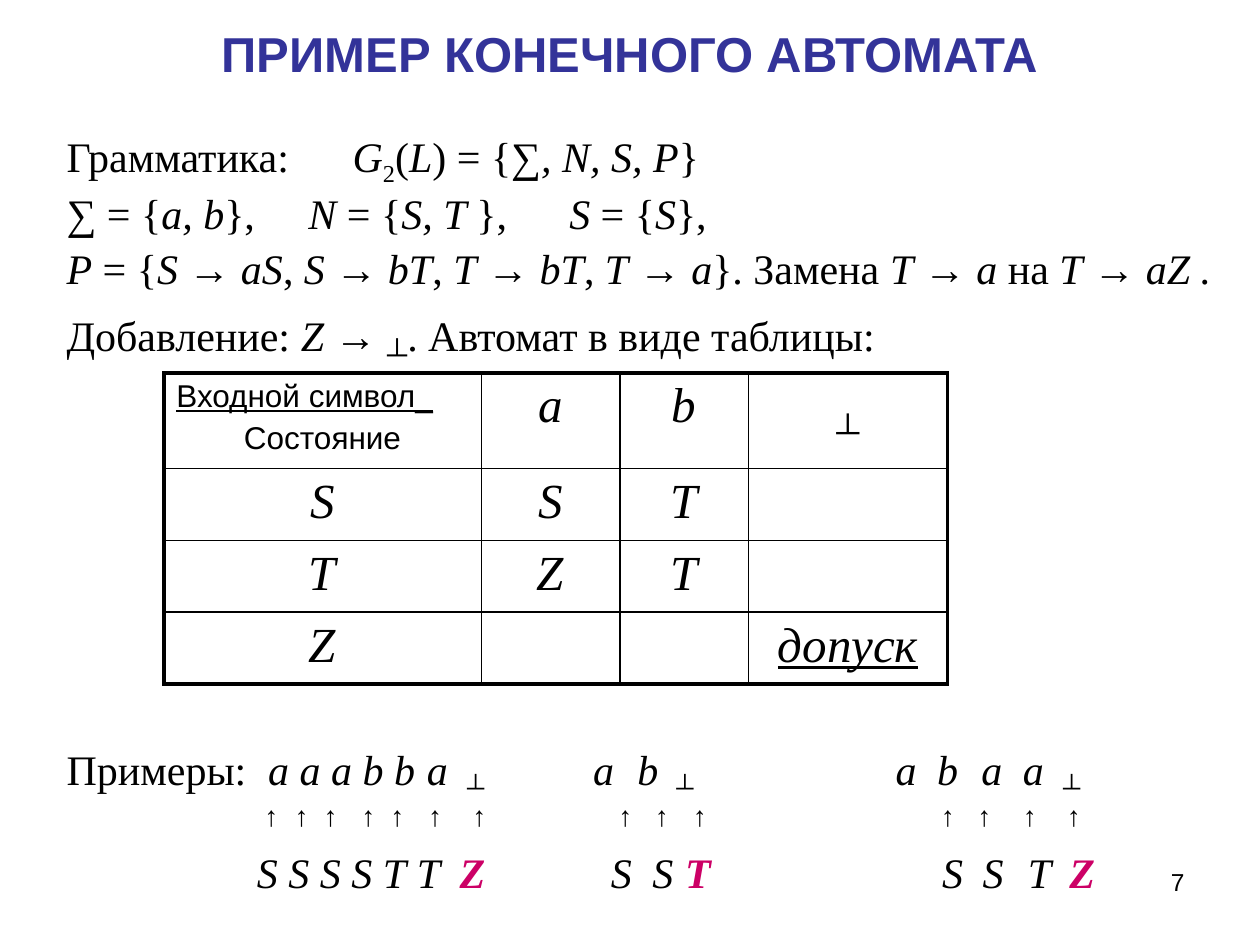
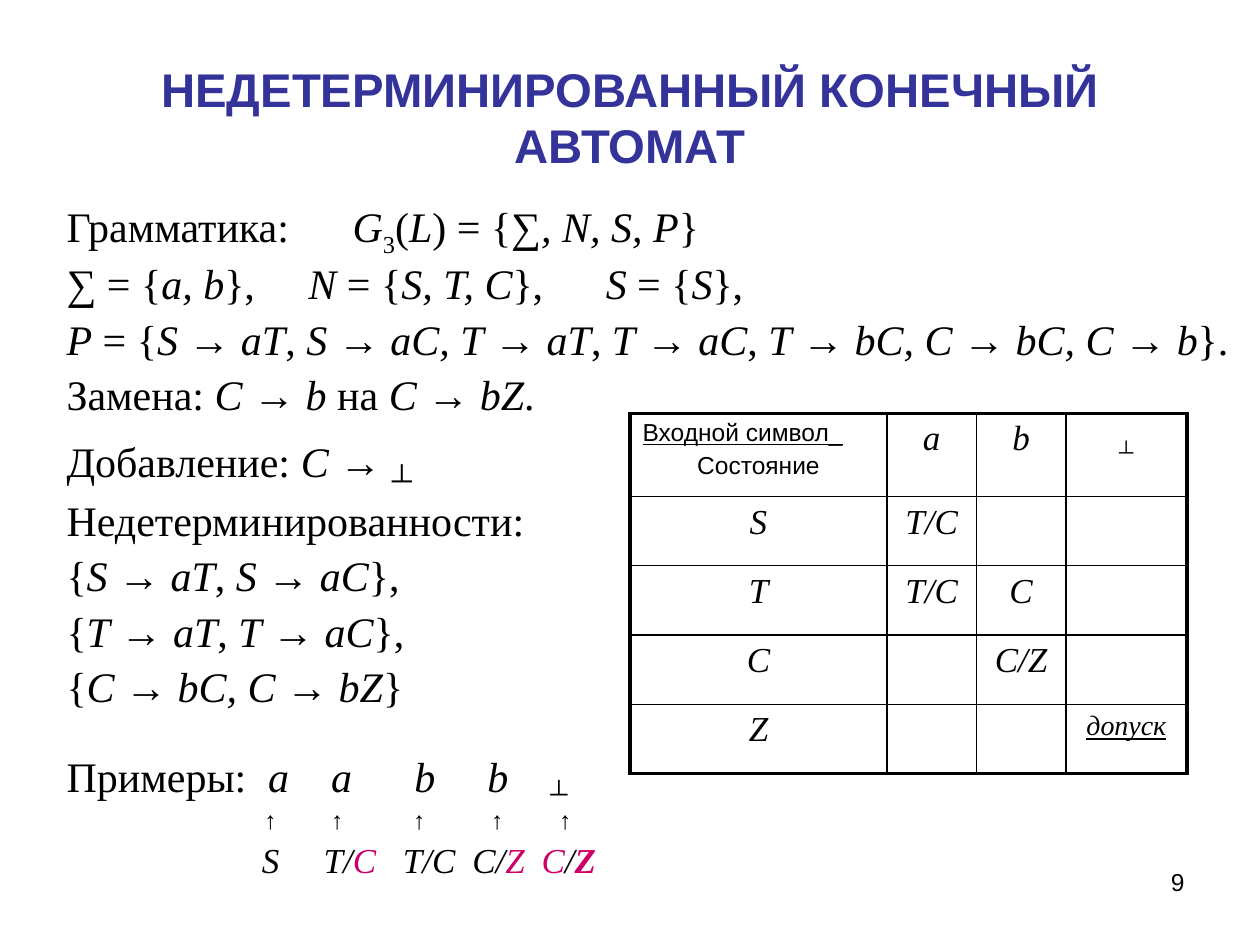
from itertools import groupby

from lxml.etree import SubElement
from pptx import Presentation
from pptx.dml.color import RGBColor
from pptx.enum.text import MSO_ANCHOR, MSO_AUTO_SIZE, PP_ALIGN
from pptx.oxml.ns import qn
from pptx.util import Inches, Pt

# Shared style
BLACK, TITLE_BLUE, ACCENT = "000000", "333399", "CC0066"
SANS, SERIF = "Arial", "Times New Roman"
TEXT_LEFT, TEXT_SIZE = 0.43, 24
CELL_MARGIN = 0.1
THIN, THICK = 1, 2.25

# Markup switches: italic, subscript, accent colour, bold, underline, large
ITALIC, SUBSCRIPT, COLOURED, BOLD, UNDERLINE, LARGE = MARKS = "*~#^_%"
LARGE_SIZE = 28


def colour(hex_string):
    return RGBColor.from_string(hex_string)


def split_markup(markup):
    """Yield pieces of text with the switches active on each."""
    active, pieces = frozenset(), []
    for character in markup:
        if character in MARKS:
            active = active ^ {character}
        else:
            pieces.append((character, active))
    for marks, group in groupby(pieces, key=lambda piece: piece[1]):
        yield "".join(character for character, _ in group), marks


def style_font(font, size, name, hex_string=BLACK, bold=False):
    font.size, font.name, font.bold = Pt(size), name, bold
    font.color.rgb = colour(hex_string)


def add_runs(paragraph, markup, size, font_name):
    for text, marks in split_markup(markup):
        run = paragraph.add_run()
        run.text = text
        style_font(run.font, LARGE_SIZE if LARGE in marks else size, font_name,
                   ACCENT if COLOURED in marks else BLACK, BOLD in marks)
        run.font.italic = ITALIC in marks
        run.font.underline = UNDERLINE in marks
        if SUBSCRIPT in marks:
            run.font._element.set("baseline", "-25000")


def set_tabs(paragraph, stops):
    tab_list = SubElement(paragraph._p.get_or_add_pPr(), qn("a:tabLst"))
    for stop in stops:
        SubElement(tab_list, qn("a:tab"), pos=str(Inches(stop)), algn="l")


def add_title(slide, text, size, top, height):
    title = slide.shapes.title
    title.left, title.top = Inches(0.5), Inches(top)
    title.width, title.height = Inches(9), Inches(height)
    frame = title.text_frame
    frame.text = text
    frame.word_wrap, frame.auto_size = True, MSO_AUTO_SIZE.NONE
    frame.vertical_anchor = MSO_ANCHOR.MIDDLE
    frame.paragraphs[0].alignment = PP_ALIGN.CENTER
    style_font(frame.paragraphs[0].runs[0].font, size, SANS, TITLE_BLUE, True)


def add_text_box(slide, left, top, width, height):
    box = slide.shapes.add_textbox(Inches(left), Inches(top), Inches(width), Inches(height))
    box.text_frame.word_wrap = True
    return box.text_frame


def add_lines(slide, top, height, lines):
    """Each line is markup, tab stops, size, font and space before."""
    frame = add_text_box(slide, TEXT_LEFT, top, 9.5, height)
    for index, (markup, stops, size, font_name, space) in enumerate(lines):
        paragraph = frame.add_paragraph() if index else frame.paragraphs[0]
        if stops:
            set_tabs(paragraph, stops)
        paragraph.line_spacing = 0.9
        paragraph.space_before = Pt(space if index else 0)
        add_runs(paragraph, markup, size, font_name)


def add_grammar(slide, top, height, lines):
    add_lines(slide, top, height,
              [(markup, stops, TEXT_SIZE, SERIF, 5.8) for markup, stops in lines])


def add_examples(slide, top, symbols, states, stops, sizes, spaces):
    """Input symbols, an arrow under each step, and the states reached."""
    state_list = states.split()
    rows = [("Примеры:", symbols.split(), SERIF),
            ("", ["↑"] * len(state_list), SANS),
            ("", state_list, SERIF)]
    add_lines(slide, top, 1.4, [
        ("\t".join([label, *tokens]), row_stops, size, font_name, space)
        for (label, tokens, font_name), row_stops, size, space
        in zip(rows, stops, sizes, spaces)])


def set_borders(cell, row, column, last_row, last_column):
    properties = cell._tc.get_or_add_tcPr()
    outer = {"L": column == 0, "R": column == last_column,
             "T": row == 0, "B": row == last_row}
    for side, is_outer in outer.items():
        width = Pt(THICK if is_outer else THIN)
        line = SubElement(properties, qn(f"a:ln{side}"), w=str(width))
        fill = SubElement(line, qn("a:solidFill"))
        SubElement(fill, qn("a:srgbClr"), val=BLACK)
    cell.fill.background()


def fill_corner(cell, size, column_width):
    """Heading of the inputs, underlined across the cell, above the states."""
    heading = cell.text_frame.paragraphs[0]
    set_tabs(heading, [column_width - 2 * CELL_MARGIN - 0.02])
    add_runs(heading, "Входной символ", size, SANS)
    for run in heading.runs:
        run.text += "_\t"
        run.font.underline = True
    states = cell.text_frame.add_paragraph()
    states.alignment = PP_ALIGN.CENTER
    states.space_before = Pt(0.2 * size)
    add_runs(states, "Состояние", size, SANS)


def add_transition_table(slide, left, top, widths, heights, rows, sizes):
    """Sizes are for the corner, the cells, the end mark and the accept word."""
    corner_size, cell_size, end_size, accept_size = sizes
    special_sizes = {"~┴~": end_size, "_допуск_": accept_size}
    frame = slide.shapes.add_table(len(heights), len(widths), Inches(left), Inches(top),
                                   Inches(sum(widths)), Inches(sum(heights)))
    table = frame.table
    table.first_row = table.horz_banding = False
    for column, width in zip(table.columns, widths):
        column.width = Inches(width)
    for row, height in zip(table.rows, heights):
        row.height = Inches(height)
    for row_index, row in enumerate(rows):
        for column_index, markup in enumerate(row):
            cell = table.cell(row_index, column_index)
            set_borders(cell, row_index, column_index, len(heights) - 1, len(widths) - 1)
            if row_index == column_index == 0:
                fill_corner(cell, corner_size, widths[0])
            elif markup:
                paragraph = cell.text_frame.paragraphs[0]
                paragraph.alignment = PP_ALIGN.CENTER
                size = special_sizes.get(markup, cell_size)
                add_runs(paragraph, f"*{markup}*", size, SERIF)


def add_slide_number(slide, number):
    frame = add_text_box(slide, 7.17, 6.83, 2.33, 0.52)
    frame.text = str(number)
    frame.paragraphs[0].alignment = PP_ALIGN.RIGHT
    style_font(frame.paragraphs[0].runs[0].font, 14, SANS)


def add_finite_automaton(slide):
    add_title(slide, "ПРИМЕР КОНЕЧНОГО АВТОМАТА", 28, 0, 0.84)
    add_grammar(slide, 0.99, 1.95, [
        ("Грамматика:\t*G*~2~(*L*) = {*∑, N, S, P*}", [2.27]),
        ("*∑* = {*a, b*},\t*N* = {*S, T *},\t*S* = {*S*},", [1.92, 3.99]),
        ("*P* = {*S* → *aS*, *S* → *bT*, *T* → *bT*, *T* → *a*}. "
         "Замена *T* → *a* на *T* → *aZ .*", []),
        ("Добавление: *Z* → %~┴~%. Автомат в виде таблицы:", []),
    ])
    add_transition_table(
        slide, 1.3, 2.96, [2.52, 1.1, 1.02, 1.58], [0.76] + [0.57] * 3,
        [["", "a", "b", "~┴~"],
         ["S", "S", "T", ""],
         ["T", "Z", "T", ""],
         ["Z", "", "", "_допуск_"]],
        sizes=(18, 28, 32, 28))
    add_examples(
        slide, 5.86,
        "*a a a b b a* ~┴~ *a b* ~┴~ *a b a a* ~┴~",
        "*S S S S T T #^Z^# S S #^T^# S S T #^Z^#*",
        stops=[[1.6, 1.85, 2.1, 2.35, 2.6, 2.86, 3.18, 4.18, 4.53, 4.84,
                6.58, 6.91, 7.26, 7.59, 7.91],
               [1.57, 1.81, 2.04, 2.34, 2.57, 2.87, 3.22, 4.38, 4.67, 4.97,
                6.94, 7.23, 7.59, 7.94],
               [1.51, 1.76, 2.01, 2.26, 2.51, 2.78, 3.12, 4.32, 4.65, 4.91,
                6.95, 7.27, 7.63, 7.96]],
        sizes=(TEXT_SIZE, 16, TEXT_SIZE), spaces=(0, 3.8, 11))
    add_slide_number(slide, 7)


def add_nondeterministic_automaton(slide):
    add_title(slide, "НЕДЕТЕРМИНИРОВАННЫЙ КОНЕЧНЫЙ АВТОМАТ", 27, 0.3, 1.25)
    add_grammar(slide, 1.55, 4.1, [
        ("Грамматика:\t*G*~3~(*L*) = {*∑, N, S, P*}", [2.27]),
        ("*∑* = {*a, b*},\t*N* = {*S, T, C*},\t*S* = {*S*},", [1.92, 4.28]),
        ("*P* = {*S* → *aT*, *S* → *aC, T* → *aT*, *T* → *aC*, *T* → *bC, C* → "
         "*bC, C* → *b*}.", []),
        ("Замена: *C* → *b* на *C* → *bZ*.", []),
        ("Добавление: *C* → *%~┴~%*", []),
        ("Недетерминированности:", []),
        ("{*S* → *aT*, *S* → *aC*},", []),
        ("{*T* → *aT*, *T* → *aC*},", []),
        ("{*C* → *bC, C* → *bZ*}", []),
    ])
    add_transition_table(
        slide, 5, 3.28, [2.04, 0.71, 0.71, 0.96], [0.66] + [0.55] * 4,
        [["", "a", "b", "~┴~"],
         ["S", "T/C", "", ""],
         ["T", "T/C", "C", ""],
         ["C", "", "C/Z", ""],
         ["Z", "", "", "_допуск_"]],
        sizes=(14, 20, 20, 16))
    add_examples(
        slide, 5.91, "*a a b b* ~┴~", "*S T/#C# T/C C/#Z# #C#/#^Z^#*",
        stops=[[1.6, 2.1, 2.76, 3.34, 3.84],
               [1.57, 2.1, 2.75, 3.37, 3.91],
               [1.55, 2.04, 2.67, 3.22, 3.77]],
        sizes=(TEXT_SIZE, 14, 20), spaces=(0, 3.4, 4.8))
    add_slide_number(slide, 9)


def main():
    presentation = Presentation()
    presentation.slide_width, presentation.slide_height = Inches(10), Inches(7.5)
    title_only = presentation.slide_layouts[5]
    for build in (add_finite_automaton, add_nondeterministic_automaton):
        build(presentation.slides.add_slide(title_only))
    presentation.save("out.pptx")


if __name__ == "__main__":
    main()
